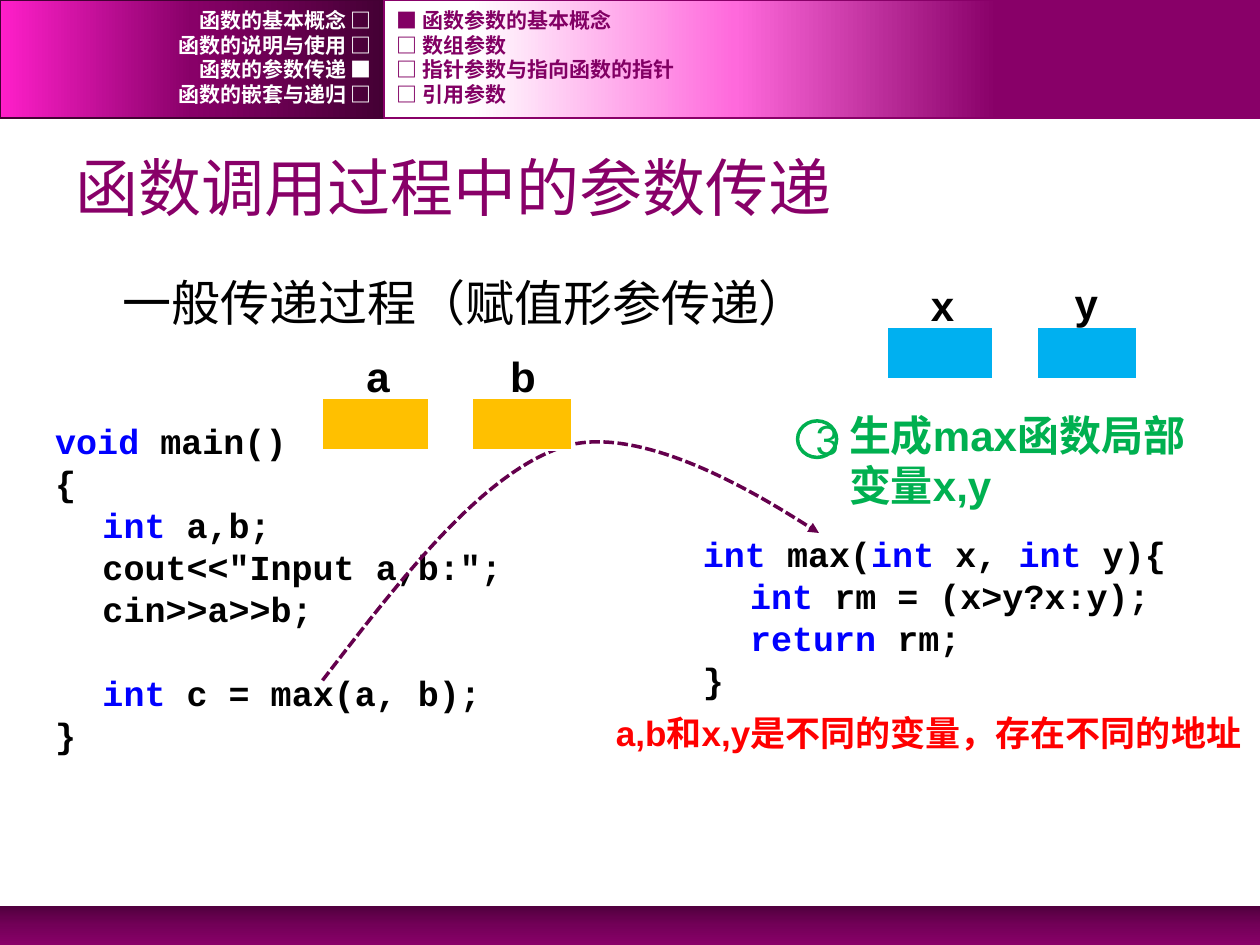
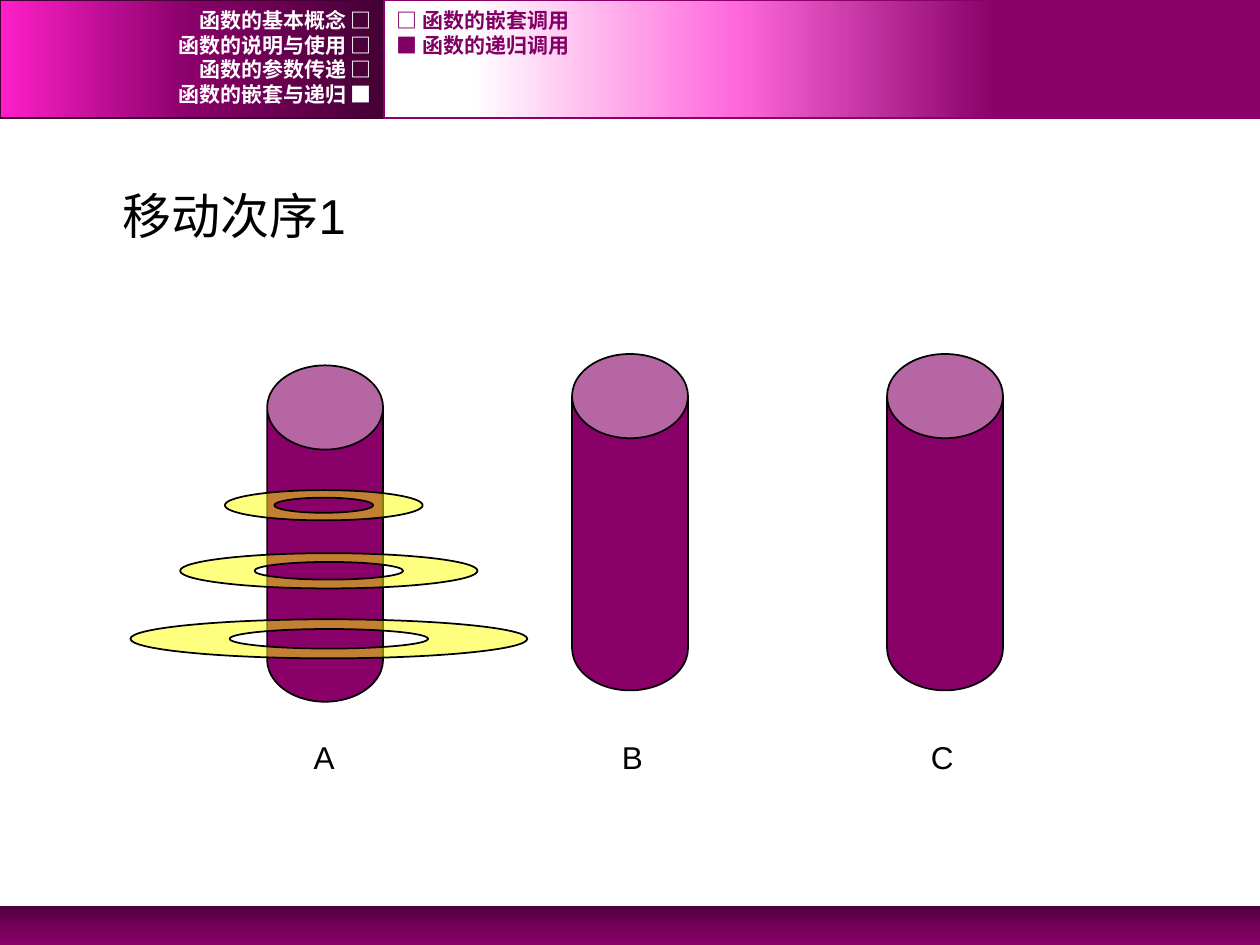
"""Build two lecture slides: parameter passing, and moving rings between pegs."""
from lxml import etree
from pptx import Presentation
from pptx.dml.color import RGBColor
from pptx.enum import dml, shapes, text
from pptx.oxml import ns
from pptx.util import Inches, Pt

COLORS = {
    "purple": "880068", "menu": "820064", "deep": "440034", "pink": "FF1FCA",
    "light_pink": "FF69DC", "footer_dark": "51003E", "footer_mid": "730058",
    "arrow": "65004D", "white": "FFFFFF", "black": "000000", "keyword": "0000FF",
    "green": "00B050", "red": "FF0000", "amber": "FFC000", "sky": "00B0F0",
    "yellow": "FFFF00",
}
SANS, MONO = "Arial", "Courier New"
INDENT = Pt(27)
CHAPTERS = ["函数的基本概念", "函数的说明与使用", "函数的参数传递", "函数的嵌套与递归"]
MAIN_CODE = ["*void *main()", "{", "\t*int *a,b;", '\tcout<<"Input a,b:";',
             "\tcin>>a>>b;", "\t*int* c = max(a, b);", "}"]
MAX_CODE = ["*int *max(*int *x, *int *y){", "\t*int *rm = (x>y?x:y);",
            "\t*return *rm;", "}"]


def rgb(name):
    return RGBColor.from_string(COLORS[name])


def add_xml(parent, tag, **attributes):
    return etree.SubElement(parent, ns.qn(tag), attributes)


def style_font(font, name, size, color, bold=False):
    font.name, font.size, font.bold = name, Pt(size), bold
    font.color.rgb = rgb(color)


def style_shape(shape, fill=None, line=None, width=1):
    shape.shadow.inherit = False
    if fill:
        shape.fill.solid()
        shape.fill.fore_color.rgb = rgb(fill)
    else:
        shape.fill.background()
    if line:
        shape.line.color.rgb = rgb(line)
        shape.line.width = Pt(width)
    else:
        shape.line.fill.background()


def add_preset(slide, kind, box, fill=None, line=None, width=1):
    shape = slide.shapes.add_shape(kind, *map(Inches, box))
    style_shape(shape, fill, line, width)
    return shape


def add_band(slide, box, stops, angle, line=None):
    band = add_preset(slide, shapes.MSO_SHAPE.RECTANGLE, box, line=line)
    band.fill.gradient()
    band.fill.gradient_angle = angle
    stop_list = band._element.spPr.find(ns.qn("a:gradFill")).find(ns.qn("a:gsLst"))
    for stop in list(stop_list):
        stop_list.remove(stop)
    for position, color in stops:
        stop = add_xml(stop_list, "a:gs", pos=str(position * 1000))
        add_xml(stop, "a:srgbClr", val=COLORS[color])
    return band


def add_master_bands(master, slide):
    """Draw the shared bands and move them behind everything on the master."""
    bands = [
        add_band(slide, (0, 7.19, 10, 0.31),
                 [(0, "footer_dark"), (50, "footer_mid"), (100, "purple")], 270),
        add_band(slide, (0, 0, 3.05, 0.94),
                 [(0, "deep"), (50, "purple"), (100, "pink")], 180, "deep"),
        add_band(slide, (3.05, 0, 6.95, 0.94),
                 [(30, "purple"), (60, "light_pink"), (90, "white")], 180, "purple"),
    ]
    for index, band in enumerate(bands):
        master.shapes._spTree.insert(2 + index, band._element)


def add_text(slide, box, words, size, color, font=SANS, bold=False,
             align=text.PP_ALIGN.LEFT, anchor=text.MSO_ANCHOR.TOP):
    frame = slide.shapes.add_textbox(*map(Inches, box)).text_frame
    frame.word_wrap = True
    frame.vertical_anchor = anchor
    paragraph = frame.paragraphs[0]
    paragraph.text = words
    paragraph.alignment = align
    style_font(paragraph.font, font, size, color, bold)
    return paragraph


def add_menu(slide, left, width, topics, current, color, right_aligned=False):
    for index, topic in enumerate(topics):
        mark = "■" if index == current else "□"
        words = f"{topic} {mark}" if right_aligned else f"{mark} {topic}"
        align = text.PP_ALIGN.RIGHT if right_aligned else text.PP_ALIGN.LEFT
        add_text(slide, (left, 0.06 + index * 0.195, width, 0.2), words, 12, color,
                 MONO, True, align, text.MSO_ANCHOR.MIDDLE)


def add_menus(slide, chapter, topics, topic):
    add_menu(slide, 0, 3.05, CHAPTERS, chapter, "white", True)
    add_menu(slide, 3.05, 6.02, topics, topic, "menu")


def fill_placeholder(placeholder, box, words, size, color, anchor):
    placeholder.left, placeholder.top, placeholder.width, placeholder.height = map(Inches, box)
    frame = placeholder.text_frame
    frame.text = words
    frame.auto_size = text.MSO_AUTO_SIZE.NONE
    frame.vertical_anchor = anchor
    paragraph = frame.paragraphs[0]
    paragraph.alignment = text.PP_ALIGN.LEFT
    style_font(paragraph.font, SANS, size, color)
    return paragraph


def set_title(slide, words):
    fill_placeholder(slide.shapes.title, (0.5, 1.09, 9, 0.78), words, 36, "purple",
                     text.MSO_ANCHOR.MIDDLE)


def set_body(slide, box, words):
    paragraph = fill_placeholder(slide.placeholders[1], box, words, 28, "black",
                                 text.MSO_ANCHOR.TOP)
    properties = paragraph._p.get_or_add_pPr()
    properties.set("marL", str(INDENT))
    properties.set("indent", "0")
    properties.insert_element_before(etree.Element(ns.qn("a:buNone")), "a:defRPr")


def add_code(slide, box, lines, gap_before=None):
    """Write code lines, colouring the parts between asterisks as keywords."""
    frame = slide.shapes.add_textbox(*map(Inches, box)).text_frame
    frame.word_wrap = True
    for index, line in enumerate(lines):
        paragraph = frame.paragraphs[0] if index == 0 else frame.add_paragraph()
        if index == gap_before:
            paragraph.space_before = Pt(24)
        if line.startswith("\t"):
            paragraph._p.get_or_add_pPr().set("marL", str(INDENT))
        for part, words in enumerate(line.strip("\t").split("*")):
            if words:
                run = paragraph.add_run()
                run.text = words
                style_font(run.font, MONO, 20, "keyword" if part % 2 else "black", True)


def add_variable(slide, left, top, width, fill, name, label_left, label_top):
    graphic = slide.shapes.add_table(1, 1, *map(Inches, (left, top, width, 0.41)))
    cell = graphic.table.cell(0, 0)
    cell.fill.solid()
    cell.fill.fore_color.rgb = rgb(fill)
    add_text(slide, (label_left, label_top, 0.41, 0.5), name, 24, "black", bold=True)


def add_curves(slide, contours, closed):
    """Build a freeform whose points after each start come in Bezier triples."""
    builder = None
    for contour in contours:
        points = [(Inches(x), Inches(y)) for x, y in contour]
        if builder is None:
            builder = slide.shapes.build_freeform(*points[0])
        else:
            builder.move_to(*points[0])
        builder.add_line_segments(points[1:], close=closed)
    shape = builder.convert_to_shape()
    segments = list(shape._element.spPr.iter(ns.qn("a:lnTo")))
    for first in range(0, len(segments), 3):
        curve = etree.Element(ns.qn("a:cubicBezTo"))
        segments[first].addprevious(curve)
        for segment in segments[first:first + 3]:
            curve.append(segment[0])
            segment.getparent().remove(segment)
    return shape


def add_call_arrow(slide):
    arrow = add_curves(slide, [[(2.56, 5.4), (3.2, 4.57), (3.84, 3.74), (4.49, 3.54),
                                (5.15, 3.35), (6.5, 4.23), (6.5, 4.23)]], False)
    style_shape(arrow, line="arrow", width=2)
    arrow.line.dash_style = dml.MSO_LINE.SQUARE_DOT
    add_xml(arrow.line._get_or_add_ln(), "a:tailEnd", type="triangle")


def ellipse(x, y, width, height):
    k = 0.55
    unit = [(-1, 0), (-1, -k), (-k, -1), (0, -1), (k, -1), (1, -k), (1, 0),
            (1, k), (k, 1), (0, 1), (-k, 1), (-1, k), (-1, 0)]
    return [(x + width / 2 * across, y + height / 2 * down) for across, down in unit]


def add_ring(slide, x, y, width, height):
    hole = ellipse(x, y, width / 2, height / 2)
    ring = add_curves(slide, [ellipse(x, y, width, height), hole[::-1]], True)
    style_shape(ring, "yellow", "black")
    color = ring._element.spPr.find(ns.qn("a:solidFill"))[0]
    add_xml(color, "a:alpha", val="50000")


def add_peg(slide, left, top):
    peg = add_preset(slide, shapes.MSO_SHAPE.CAN, (left, top, 0.92, 2.67), "purple", "black")
    peg.adjustments[0] = 0.727


def add_peg_names(slide):
    names = add_text(slide, (2.39, 5.81, 5.81, 0.4), "A\tB\tC", 18, "black")
    stops = etree.Element(ns.qn("a:tabLst"))
    for position in (2.53, 4.99):
        add_xml(stops, "a:tab", pos=str(Inches(position)), algn="ctr")
    names._p.get_or_add_pPr().insert_element_before(stops, "a:defRPr")


def build_passing_slide(slide):
    set_title(slide, "函数调用过程中的参数传递")
    set_body(slide, (0.5, 2.11, 9, 0.78), "一般传递过程（赋值形参传递）")
    add_menus(slide, 2, ["函数参数的基本概念", "数组参数", "指针参数与指向函数的指针",
                         "引用参数"], 0)
    add_code(slide, (5.48, 4.18, 4.21, 1.47), MAX_CODE)
    add_code(slide, (0.34, 3.28, 4.96, 2.58), MAIN_CODE, gap_before=5)
    add_text(slide, (6.64, 3.2, 3.16, 0.91), "生成max函数局部变量x,y", 24, "green", bold=True)
    badge = add_preset(slide, shapes.MSO_SHAPE.OVAL, (6.33, 3.34, 0.31, 0.29),
                       line="green", width=2)
    number = badge.text_frame.paragraphs[0]
    number.text = "3"
    number.alignment = text.PP_ALIGN.CENTER
    style_font(number.font, SANS, 24, "green")
    add_call_arrow(slide)
    add_text(slide, (4.79, 5.6, 5.23, 0.44), "a,b和x,y是不同的变量，存在不同的地址",
             20, "red", bold=True)
    add_variable(slide, 2.56, 3.16, 0.84, "amber", "a", 2.81, 2.73)
    add_variable(slide, 3.75, 3.16, 0.79, "amber", "b", 3.95, 2.73)
    add_variable(slide, 7.04, 2.6, 0.84, "sky", "x", 7.29, 2.17)
    add_variable(slide, 8.23, 2.6, 0.79, "sky", "y", 8.43, 2.15)


def build_rings_slide(slide):
    title = slide.shapes.title._element
    title.getparent().remove(title)
    set_body(slide, (0.5, 1.42, 8.92, 0.61), "移动次序1")
    for left, top in ((2.12, 2.9), (4.54, 2.81), (7.04, 2.81)):
        add_peg(slide, left, top)
    for ring in ((2.57, 4.01, 1.57, 0.24), (2.61, 4.53, 2.36, 0.28), (2.61, 5.07, 3.15, 0.31)):
        add_ring(slide, *ring)
    add_peg_names(slide)
    add_menus(slide, 3, ["函数的嵌套调用", "函数的递归调用"], 1)


def main():
    presentation = Presentation()
    presentation.slide_width, presentation.slide_height = Inches(10), Inches(7.5)
    layout = presentation.slide_layouts[1]
    passing, rings = [presentation.slides.add_slide(layout) for _ in range(2)]
    add_master_bands(presentation.slide_master, passing)
    build_passing_slide(passing)
    build_rings_slide(rings)
    presentation.save("out.pptx")


if __name__ == "__main__":
    main()
